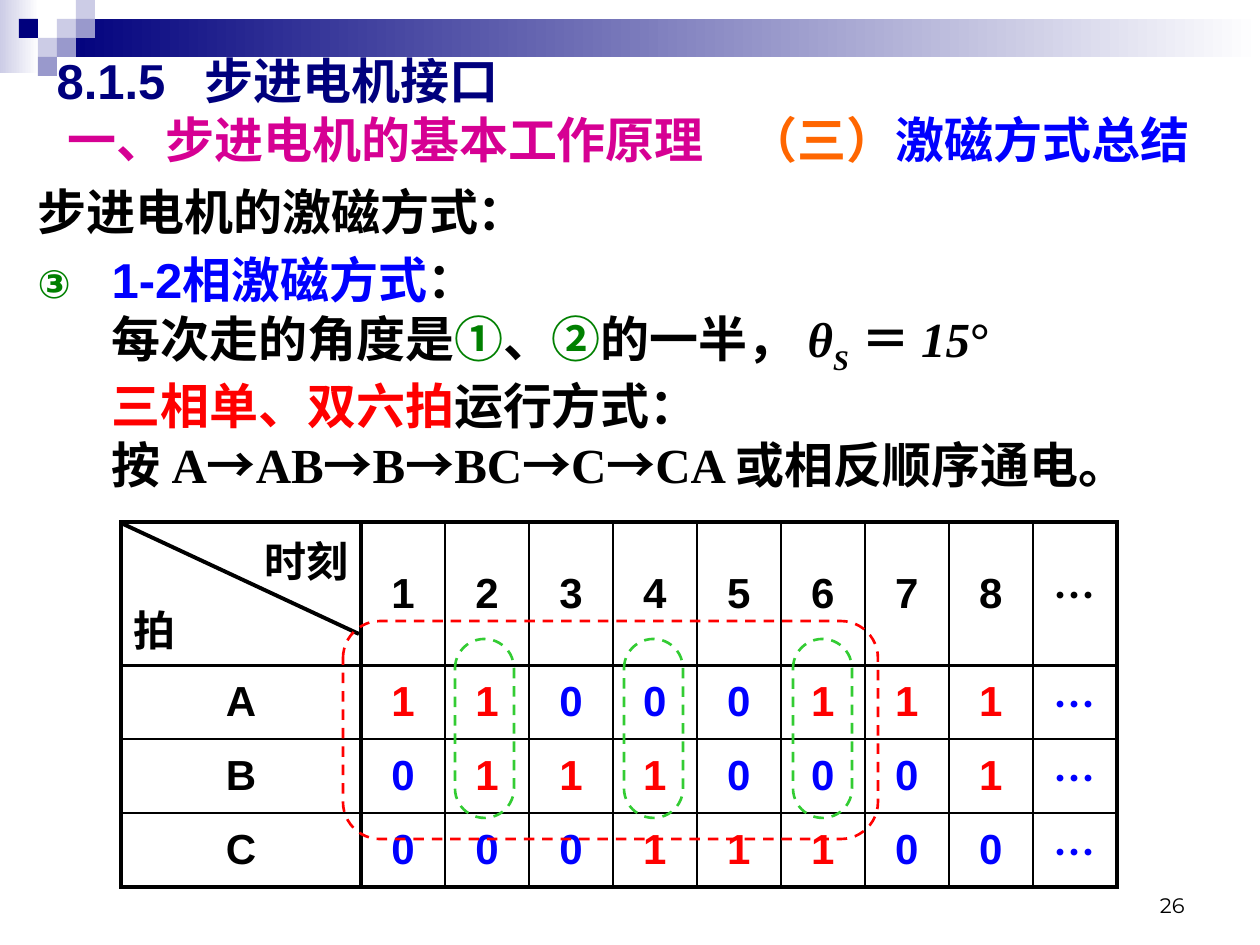
from copy import deepcopy
from dataclasses import dataclass

from lxml.etree import SubElement
from pptx import Presentation
from pptx.dml.color import RGBColor
from pptx.enum.dml import MSO_LINE
from pptx.enum.shapes import MSO_CONNECTOR, MSO_SHAPE
from pptx.enum.text import MSO_ANCHOR, MSO_AUTO_SIZE, PP_ALIGN
from pptx.oxml.ns import qn
from pptx.util import Emu, Pt

PX = 914400 / 126


@dataclass(frozen=True)
class Theme:
    black: str = "000000"
    white: str = "FFFFFF"
    navy: str = "00007D"
    lilac: str = "CCCCE6"
    violet: str = "9999CC"
    magenta: str = "D60093"
    orange: str = "FF6600"
    blue: str = "0000FF"
    red: str = "FF0000"
    green: str = "008000"
    lime: str = "33CC33"
    sans: str = "Arial"
    serif: str = "Times New Roman"
    cjk: str = "Noto Sans CJK SC"
    number_font: str = "Montserrat"
    text_size: float = 28
    cell_size: float = 24
    number_size: float = 12
    thick: float = 2.25
    dashed: float = 1.5
    thin: float = 1


def px(n):
    return Emu(round(n * PX))


def rgb(color):
    return RGBColor.from_string(color)


class SlideBuilder:
    def __init__(self, prs, theme):
        self.t = theme
        self.s = prs.slides.add_slide(prs.slide_layouts[1])

    def run(self, p, text, color=None, size=None, font=None, bold=True, italic=False, base=0):
        for i, part in enumerate(text.split("\n")):
            if i:
                br = SubElement(p._p, qn("a:br"))
                br.append(deepcopy(r._r.rPr))
            r = p.add_run()
            r.text = part
            f = r.font
            f.name, f.size = font or self.t.sans, Pt(size or self.t.text_size)
            f.bold, f.italic = bold, italic
            f.color.rgb = rgb(color or self.t.black)
            if base:
                r._r.rPr.set("baseline", str(base * 1000))

    def placeholder(self, sp, box, anchor):
        self.s.shapes._spTree.append(sp._element)  # bring to front
        sp.left, sp.top, sp.width, sp.height = map(px, box)
        tf = sp.text_frame
        tf.word_wrap, tf.auto_size = True, MSO_AUTO_SIZE.NONE
        tf.vertical_anchor = anchor
        return tf

    def title(self, box, runs, tabs):
        p = self.placeholder(self.s.shapes.title, box, MSO_ANCHOR.MIDDLE).paragraphs[0]
        p.alignment = PP_ALIGN.LEFT
        stops = SubElement(p._p.get_or_add_pPr(), qn("a:tabLst"))
        for x in tabs:
            SubElement(stops, qn("a:tab"), pos=str(px(x)), algn="l")
        for text, color in runs:
            self.run(p, text, color)

    def body(self, box, lead, number, runs, indent):
        tf = self.placeholder(self.s.placeholders[1], box, MSO_ANCHOR.TOP)
        paragraphs = tf.paragraphs[0], tf.add_paragraph()
        for p in paragraphs:
            pPr = p._p.get_or_add_pPr()
            pPr.set("marL", str(px(indent)))
            pPr.set("indent", str(-px(indent)))
        first, item = paragraphs
        SubElement(first._p.pPr, qn("a:buNone"))
        first.space_before = Pt(0)
        self.run(first, lead)
        pPr = item._p.pPr
        SubElement(SubElement(pPr, qn("a:buClr")), qn("a:srgbClr"), val=self.t.green)
        SubElement(pPr, qn("a:buSzPct"), val="80000")
        SubElement(pPr, qn("a:buAutoNum"), type="circleNumDbPlain", startAt=str(number))
        for text, style in runs:
            self.run(item, text, **style)

    def text(self, box, text, **style):
        tf = self.s.shapes.add_textbox(*map(px, box)).text_frame
        tf.word_wrap, tf.vertical_anchor = True, MSO_ANCHOR.BOTTOM
        tf.paragraphs[0].alignment = PP_ALIGN.RIGHT
        self.run(tf.paragraphs[0], text, **style)

    def rect(self, box, *colors):
        sp = self.s.shapes.add_shape(MSO_SHAPE.RECTANGLE, *map(px, box))
        sp.shadow.inherit = False
        sp.line.fill.background()
        if len(colors) == 1:
            sp.fill.solid()
            sp.fill.fore_color.rgb = rgb(colors[0])
        else:
            sp.fill.gradient()
            sp.fill.gradient_angle = 0
            for stop, color in zip(sp.fill.gradient_stops, colors):
                stop.color.rgb = rgb(color)

    def dashed_frame(self, box, color, radius):
        sp = self.s.shapes.add_shape(MSO_SHAPE.ROUNDED_RECTANGLE, *map(px, box))
        sp.shadow.inherit = False
        sp.adjustments[0] = radius
        sp.fill.background()
        sp.line.color.rgb, sp.line.width = rgb(color), Pt(self.t.dashed)
        sp.line.dash_style = MSO_LINE.DASH

    def line(self, *ends):
        c = self.s.shapes.add_connector(MSO_CONNECTOR.STRAIGHT, *map(px, ends))
        c.line.color.rgb, c.line.width = rgb(self.t.black), Pt(self.t.thick)
        SubElement(c._element.spPr, qn("a:effectLst"))

    def borders(self, cell, thick_sides):
        tcPr = cell._tc.get_or_add_tcPr()
        for i, side in enumerate("LRTB"):
            width = self.t.thick if side in thick_sides else self.t.thin
            ln = SubElement(tcPr, qn("a:ln" + side), w=str(Pt(width)))
            SubElement(SubElement(ln, qn("a:solidFill")), qn("a:srgbClr"), val=self.t.black)
            tcPr.insert(i, ln)

    def table(self, left, top, widths, heights, rows, corner):
        t = self.t
        tbl = self.s.shapes.add_table(len(heights), len(widths), px(left), px(top),
                                      px(sum(widths)), px(sum(heights))).table
        tbl.first_row = tbl.horz_banding = False
        for tracks, sizes, attr in ((tbl.columns, widths, "width"), (tbl.rows, heights, "height")):
            for track, size in zip(tracks, sizes):
                setattr(track, attr, px(size))
        digit_colors = {"0": t.blue, "1": t.red, "…": t.blue}
        for i, row in enumerate(rows):
            for j, value in enumerate(row):
                cell = tbl.cell(i, j)
                cell.fill.background()
                cell.vertical_anchor = MSO_ANCHOR.MIDDLE
                # Heavy rules: outer edges and header boundaries
                sides = {"L": j < 2, "R": j in (0, len(row) - 1),
                         "T": i < 2, "B": i in (0, len(rows) - 1)}
                self.borders(cell, [k for k, heavy in sides.items() if heavy])
                if value:
                    p = cell.text_frame.paragraphs[0]
                    p.alignment = PP_ALIGN.CENTER
                    self.run(p, value, digit_colors.get(value) if i else t.black, t.cell_size,
                             t.cjk if value == "…" else t.sans)
        # Corner cell: column heading at right, row heading at left
        tf = tbl.cell(0, 0).text_frame
        upper, lower = tf.paragraphs[0], tf.add_paragraph()
        upper.alignment, lower.alignment = PP_ALIGN.RIGHT, PP_ALIGN.LEFT
        lower.space_before = Pt(5)
        for p, text in zip((upper, lower), corner):
            self.run(p, text, size=t.cell_size)


def main():
    prs = Presentation()
    prs.slide_width, prs.slide_height = px(1260), px(945)
    t = Theme()
    b = SlideBuilder(prs, t)

    # Header band and mosaic on a square grid
    unit = 19
    b.rect((0, 0, 39, 73), t.lilac, t.white)
    b.rect((3 * unit, unit, 1260 - 3 * unit, 2 * unit), t.navy, t.white)
    for col, row, color in ((3, 1, t.lilac), (4, 0, t.lilac), (4, 1, t.violet), (2, 2, t.lilac),
                            (1, 1, t.navy), (3, 2, t.violet), (2, 3, t.violet)):
        b.rect((col * unit, row * unit, unit, unit), color)

    # Page number
    b.text((903, 861, 294, 63), "26", size=t.number_size, font=t.number_font, bold=False)

    # Excitation mode description
    serif, green = {"font": t.serif}, {"color": t.green}
    math = {"font": t.serif, "italic": True}
    runs = [("1-2相激磁方式", {"color": t.blue}), ("：\n每次走的角度是", {}), ("①", green), ("、", {}),
            ("②", green), ("的一半， ", {}), ("θ", math), ("S", {**math, "base": -25}),
            (" ＝ ", serif), ("15", math), ("°\n", serif),
            ("三相单、双六拍", {"color": t.red}), ("运行方式：\n", {}), ("按 ", serif)]
    for i, phase in enumerate(("A", "AB", "B", "BC", "C", "CA")):
        if i:
            runs.append(("→", {"font": t.cjk}))
        runs.append((phase, serif))
    runs.append((" 或相反顺序通电。", serif))
    b.body((25, 175, 1211, 745), "步进电机的激磁方式：", 3, runs, indent=74)

    # Title
    b.title((44, 45, 1181, 129),
            [("8.1.5\t步进电机接口\n ", t.navy), ("一、步进电机的基本工作原理\t", t.magenta),
             ("（三）", t.orange), ("激磁方式总结", t.blue)], tabs=(148, 692))

    # Phase table
    rows = [["", *"12345678…"], [*"A11000111…"], [*"B01110001…"], [*"C00011100…"]]
    b.table(121, 522, [240] + [84] * 9, [135] + [74] * 3, rows, ("时刻", "拍"))
    b.line(121, 523, 359, 634)

    # One full cycle and its two-phase beats
    b.dashed_frame((343, 621, 535, 218), t.red, 0.17)
    for k in range(3):
        b.dashed_frame((455 + 169 * k, 639, 59, 179), t.lime, 0.5)

    prs.save("out.pptx")


if __name__ == "__main__":
    main()
